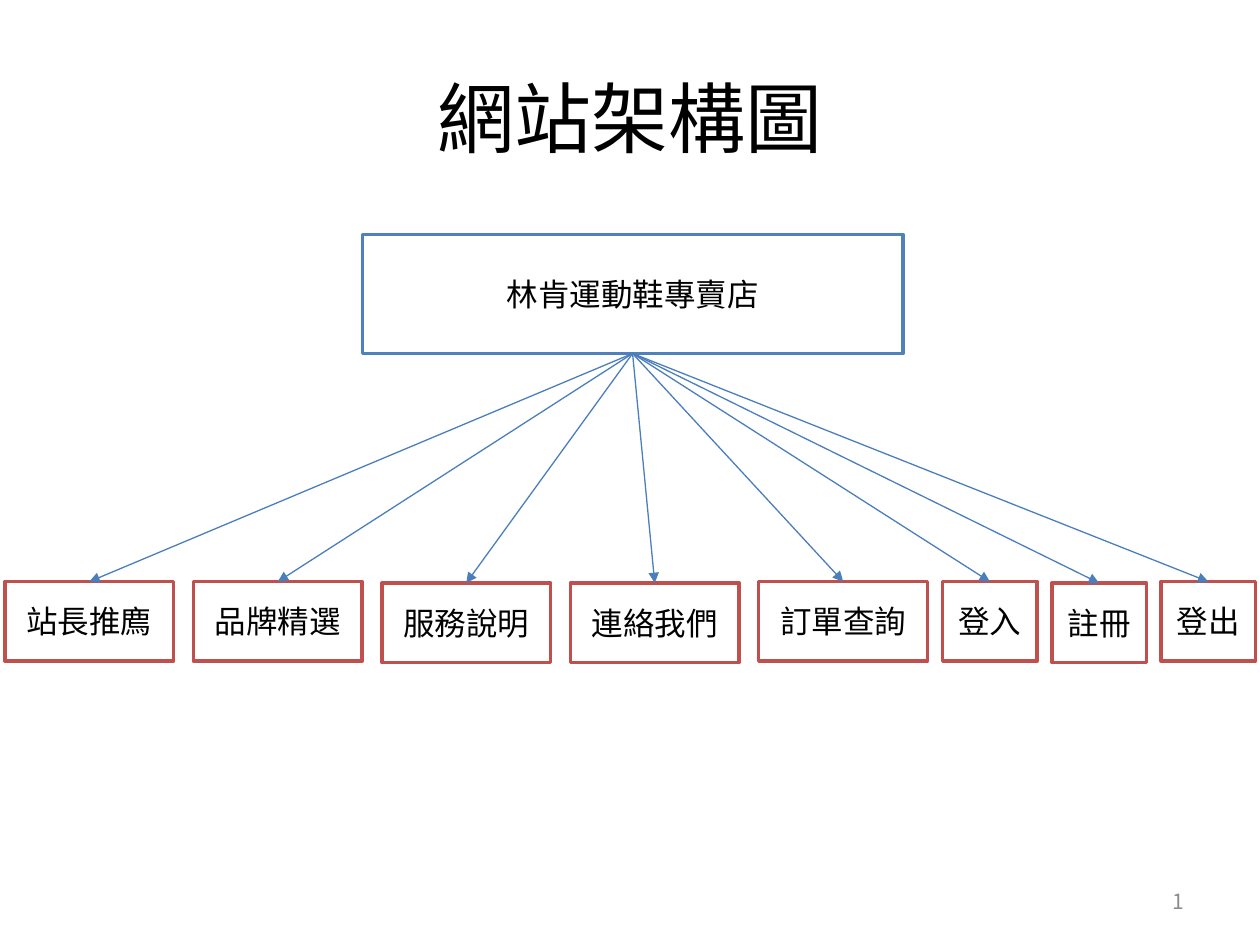
from lxml.etree import SubElement
from pptx import Presentation
from pptx.dml.color import RGBColor
from pptx.enum.shapes import MSO_CONNECTOR as Connector, MSO_SHAPE as Shape
from pptx.enum.text import MSO_ANCHOR as Anchor, PP_ALIGN as Align
from pptx.oxml.ns import qn
from pptx.util import Pt

FONT = "Noto Sans CJK SC"
COLORS = {
    "paper": "FFFFFF",
    "ink": "000000",
    "number": "8C8C8C",
    "shop": "4F81BD",
    "page": "C0504D",
    "arrow": "4B7EBC",
}


def write(holder, text, size, color="ink", align=Align.CENTER):
    frame = holder.text_frame
    frame.word_wrap = True
    frame.vertical_anchor = Anchor.MIDDLE
    paragraph = frame.paragraphs[0]
    paragraph.alignment = align
    run = paragraph.add_run()
    run.text = text
    run.font.size = Pt(size)
    run.font.name = FONT
    run.font.color.rgb = RGBColor.from_string(COLORS[color])
    SubElement(run.font._element, qn("a:ea")).set("typeface", FONT)


def add_box(left, top, width, height, text, border):
    box = slide.shapes.add_shape(Shape.RECTANGLE, Pt(left), Pt(top), Pt(width), Pt(height))
    box.shadow.inherit = False
    box.fill.solid()
    box.fill.fore_color.rgb = RGBColor.from_string(COLORS["paper"])
    box.line.color.rgb = RGBColor.from_string(COLORS[border])
    box.line.width = Pt(2)
    write(box, text, 18)
    return box


deck = Presentation()
deck.slide_width, deck.slide_height = Pt(720), Pt(540)
slide = deck.slides.add_slide(deck.slide_layouts[6])

title = slide.shapes.add_textbox(Pt(36), Pt(21.6), Pt(648), Pt(90))
write(title, "網站架構圖", 44)

page_number = slide.shapes.add_textbox(Pt(516), Pt(500.5), Pt(168), Pt(28.75))
write(page_number, "1", 12, "number", Align.RIGHT)

shop = add_box(207, 134, 309, 68, "林肯運動鞋專賣店", "shop")

page_groups = [
    (2.8, 107.7, 96.5, ["站長推廌", "品牌精選", "服務說明", "連絡我們", "訂單查詢"]),
    (538.7, 62.4, 54, ["登入", "註冊", "登出"]),
]
lowered = {"服務說明", "連絡我們", "註冊"}

for start, pitch, width, names in page_groups:
    for index, name in enumerate(names):
        top = 333.2 if name in lowered else 332.4
        page = add_box(start + index * pitch, top, width, 45.4, name, "page")
        arrow = slide.shapes.add_connector(Connector.STRAIGHT, 0, 0, 0, 0)
        arrow.begin_connect(shop, 2)
        arrow.end_connect(page, 0)
        arrow.line.color.rgb = RGBColor.from_string(COLORS["arrow"])
        arrow.line.width = Pt(0.75)
        SubElement(arrow.line._get_or_add_ln(), qn("a:tailEnd")).set("type", "triangle")
        SubElement(arrow._element.spPr, qn("a:effectLst"))

deck.save("out.pptx")
